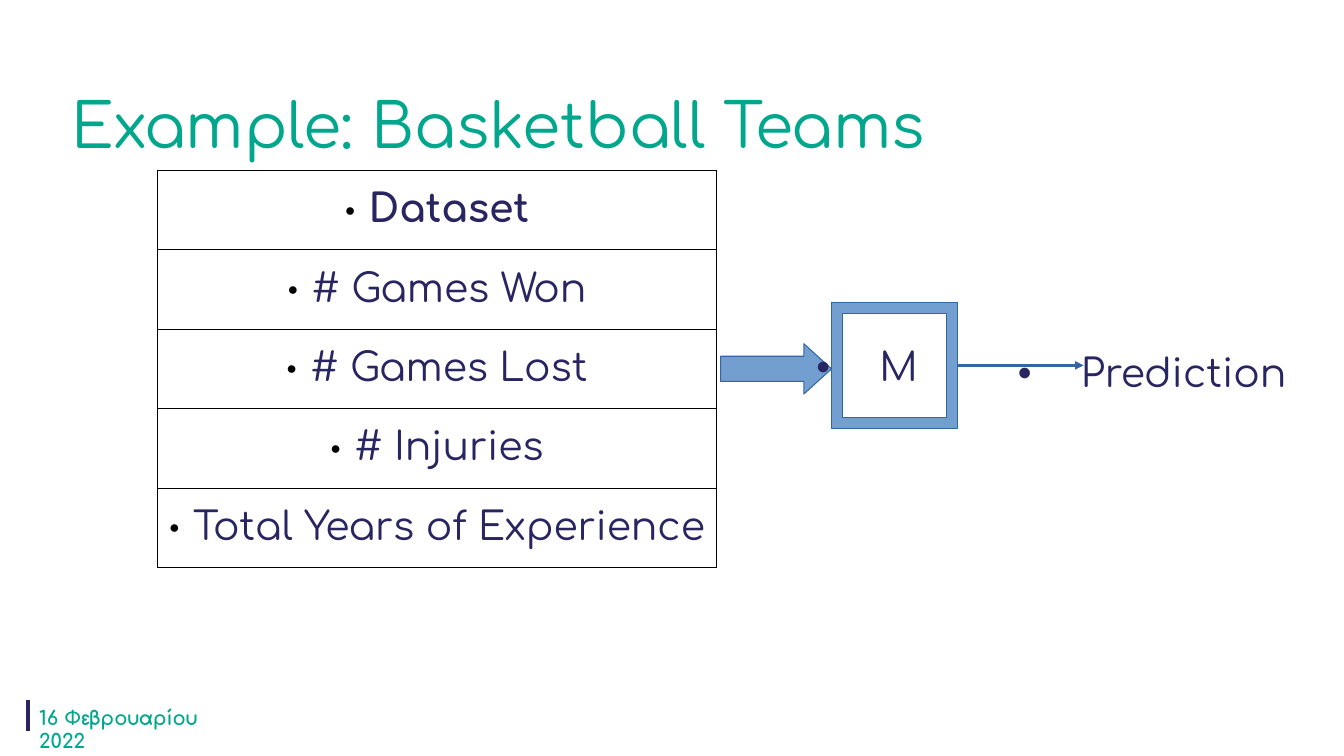
from dataclasses import dataclass

from lxml.etree import SubElement
from pptx import Presentation
from pptx.dml.color import RGBColor as RGB
from pptx.enum.shapes import MSO_CONNECTOR as CONN, MSO_SHAPE as SHAPE
from pptx.enum.text import MSO_ANCHOR as ANCHOR, PP_ALIGN as ALIGN
from pptx.oxml.ns import qn
from pptx.util import Pt


@dataclass(frozen=True)
class Theme:
    font: str = "Comfortaa"
    green: str = "00A78D"
    navy: str = "282560"
    blue: str = "729FCF"
    edge: str = "3465A4"
    black: str = "000000"
    title: int = 44
    body: int = 28
    date: int = 14


class Deck:
    def __init__(self, theme):
        self.t = theme
        self.prs = Presentation()
        self.prs.slide_width, self.prs.slide_height = Pt(960), Pt(540)
        self.slide = self.prs.slides.add_slide(self.prs.slide_layouts[5])

    def run(self, p, text, size, color, bold=False):
        r = p.add_run()
        r.text = text
        f = r.font
        f.name, f.size, f.bold = self.t.font, Pt(size), bold
        f.color.rgb = RGB.from_string(color)

    def bullet(self, p, char, color, indent, percent=100):
        pPr = p._p.get_or_add_pPr()
        pPr.set("marL", str(Pt(indent)))
        pPr.set("indent", str(-Pt(indent)))
        clr = SubElement(pPr, qn("a:buClr"))
        SubElement(clr, qn("a:srgbClr"), val=color)
        SubElement(pPr, qn("a:buSzPct"), val=str(percent * 1000))
        SubElement(pPr, qn("a:buFont"), typeface="Arial")
        SubElement(pPr, qn("a:buChar"), char=char)

    def title(self, text, x, y, w, h):
        sp = self.slide.shapes.title
        sp.left, sp.top, sp.width, sp.height = Pt(x), Pt(y), Pt(w), Pt(h)
        tf = sp.text_frame
        tf.vertical_anchor, tf.word_wrap = ANCHOR.MIDDLE, True
        p = tf.paragraphs[0]
        p.alignment, p.line_spacing = ALIGN.LEFT, 0.9
        self.run(p, text, self.t.title, self.t.green)

    def text(self, x, y, w, h, wrap=True):
        sp = self.slide.shapes.add_textbox(Pt(x), Pt(y), Pt(w), Pt(h))
        sp.text_frame.word_wrap = wrap
        return sp.text_frame.paragraphs[0]

    def date(self, text, x, y, w, h):
        p = self.text(x, y, w, h, wrap=False)
        self.run(p, text, self.t.date, self.t.green, bold=True)

    def label(self, text, x, y, w, h):
        p = self.text(x, y, w, h)
        p.line_spacing, p.space_before = 0.9, Pt(14.2)
        self.bullet(p, "•", self.t.navy, 45)
        self.run(p, text, self.t.body, self.t.navy)

    def shape(self, kind, x, y, w, h, *adjustments):
        sp = self.slide.shapes.add_shape(kind, Pt(x), Pt(y), Pt(w), Pt(h))
        for i, value in enumerate(adjustments):
            sp.adjustments[i] = value
        sp.shadow.inherit = False
        sp.fill.solid()
        sp.fill.fore_color.rgb = RGB.from_string(self.t.blue)
        sp.line.color.rgb = RGB.from_string(self.t.edge)
        sp.line.width = Pt(0)

    def line(self, x1, y1, x2, y2, color, width, arrow=False):
        cx = self.slide.shapes.add_connector(
            CONN.STRAIGHT, Pt(x1), Pt(y1), Pt(x2), Pt(y2))
        cx.line.color.rgb = RGB.from_string(color)
        cx.line.width = Pt(width)
        if arrow:
            SubElement(cx.line._get_or_add_ln(), qn("a:tailEnd"), type="triangle")
        SubElement(cx._element.spPr, qn("a:effectLst"))

    def borders(self, cell, width):
        tcPr = cell._tc.get_or_add_tcPr()
        for side in ("lnL", "lnR", "lnT", "lnB"):
            ln = SubElement(tcPr, qn(f"a:{side}"), w=str(Pt(width)))
            fill = SubElement(ln, qn("a:solidFill"))
            SubElement(fill, qn("a:srgbClr"), val=self.t.black)

    def table(self, rows, x, y, w, row_h):
        tbl = self.slide.shapes.add_table(
            len(rows), 1, Pt(x), Pt(y), Pt(w), Pt(row_h * len(rows))).table
        tbl.first_row = tbl.horz_banding = False
        for i, text in enumerate(rows):
            tbl.rows[i].height = Pt(row_h)
            cell = tbl.cell(i, 0)
            self.borders(cell, 0.57)
            cell.fill.background()
            cell.vertical_anchor = ANCHOR.MIDDLE
            p = cell.text_frame.paragraphs[0]
            p.alignment = ALIGN.CENTER
            self.bullet(p, "●", self.t.black, 17, 45)
            self.run(p, text, self.t.body, self.t.navy, bold=i == 0)


def main():
    theme = Theme()
    deck = Deck(theme)
    deck.line(20, 499.7, 20, 522, theme.navy, 2.5)
    deck.date("16 Φεβρουαρίου 2022", 20.9, 500.4, 164.2, 23.8)
    deck.title("Example: Basketball Teams", 43.9, 39.6, 856.1, 104.4)
    deck.table(["Dataset", "# Games Won", "# Games Lost", "# Injuries",
                "Total Years of Experience"], 112.3, 121.7, 399.6, 56.74)
    deck.shape(SHAPE.RIGHT_ARROW, 514.8, 245.5, 79.2, 36, 0.5, 0.55)
    deck.shape(SHAPE.FRAME, 594, 216, 90, 90, 0.09)
    deck.line(684, 261, 774, 261, theme.edge, 0, arrow=True)
    deck.label("M", 576, 244.8, 90, 36.7)
    deck.label("Prediction", 720, 249.1, 240, 110.9)
    deck.prs.save("out.pptx")


if __name__ == "__main__":
    main()
